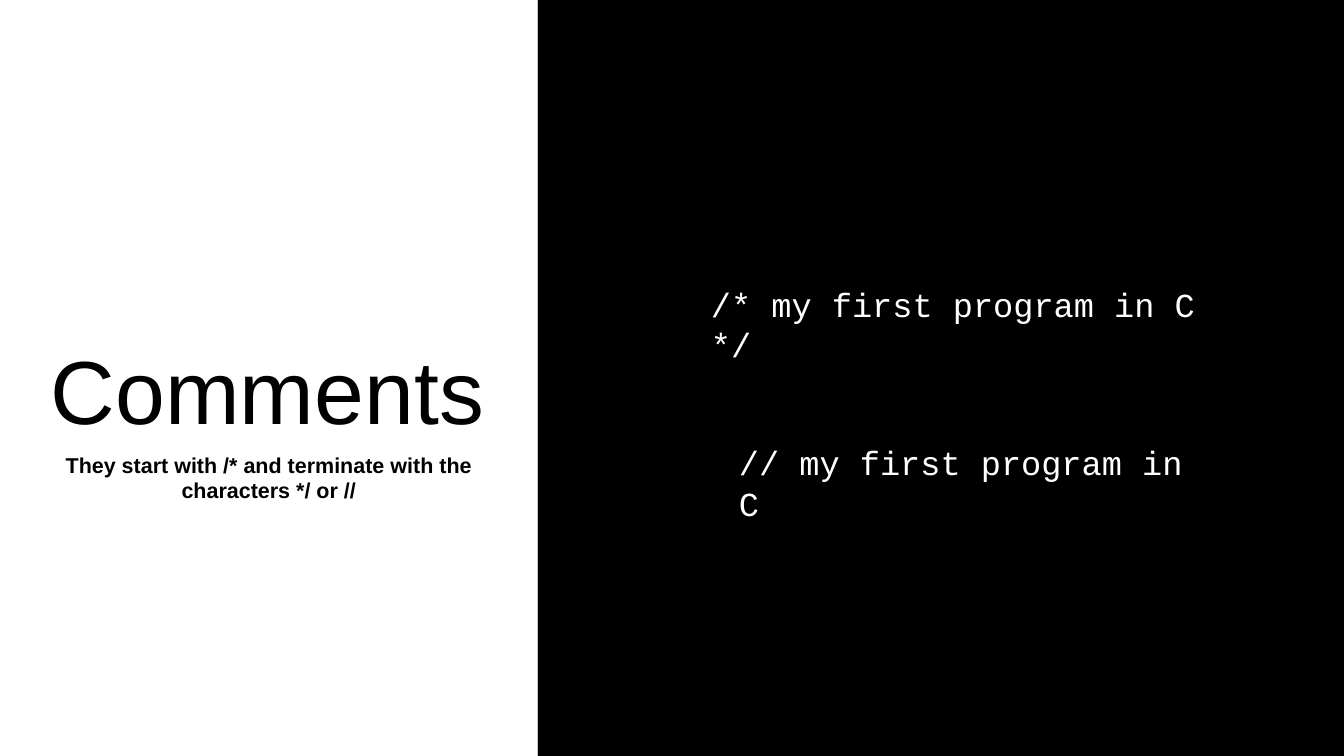
from dataclasses import dataclass

from pptx import Presentation
from pptx.dml.color import RGBColor
from pptx.enum.shapes import MSO_SHAPE
from pptx.enum.text import PP_ALIGN
from pptx.util import Inches, Pt


@dataclass(frozen=True)
class Theme:
    dark: RGBColor = RGBColor(0, 0, 0)
    light: RGBColor = RGBColor(255, 255, 255)
    heading_font: str = "Arial"
    code_font: str = "Courier New"
    title_size: float = 48
    summary_size: float = 11.5
    code_size: float = 18


THEME = Theme()
SLIDE_WIDTH = 10
SLIDE_HEIGHT = SLIDE_WIDTH * 9 / 16
LEFT_WIDTH = 4


def add_panel(slide, left, width, color):
    panel = slide.shapes.add_shape(
        MSO_SHAPE.RECTANGLE, Inches(left), 0, Inches(width), Inches(SLIDE_HEIGHT))
    panel.shadow.inherit = False
    panel.fill.solid()
    panel.fill.fore_color.rgb = color
    panel.line.fill.background()


def add_text(slide, box, wording, font, size, color, inset=0.1, bold=False):
    frame = slide.shapes.add_textbox(*map(Inches, box)).text_frame
    frame.word_wrap = True
    frame.margin_left = frame.margin_right = Inches(inset)
    frame.margin_top = frame.margin_bottom = Inches(inset)
    frame.text = wording
    paragraph = frame.paragraphs[0]
    for run in paragraph.runs:
        run.font.name = font
        run.font.size = Pt(size)
        run.font.color.rgb = color
        run.font.bold = bold
    return paragraph


def add_title(slide):
    title = add_text(slide, (0.28, 2.1, 3.82, 1.4), "Comments",
                     THEME.heading_font, THEME.title_size, THEME.dark)
    title.line_spacing = 1.37
    title.space_before = Pt(15)
    title.space_after = Pt(8)


def add_summary(slide):
    summary = add_text(
        slide, (0.21, 3.26, 3.58, 0.72),
        "They start with /* and terminate with the characters */ or //",
        THEME.heading_font, THEME.summary_size, THEME.dark, bold=True)
    summary.alignment = PP_ALIGN.CENTER


def add_code(slide, box, wording, inset):
    add_text(slide, box, wording, THEME.code_font, THEME.code_size,
             THEME.light, inset=inset)


def main():
    presentation = Presentation()
    presentation.slide_width = Inches(SLIDE_WIDTH)
    presentation.slide_height = Inches(SLIDE_HEIGHT)
    slide = presentation.slides.add_slide(presentation.slide_layouts[6])

    add_panel(slide, LEFT_WIDTH, SLIDE_WIDTH - LEFT_WIDTH, THEME.dark)
    add_panel(slide, 0, LEFT_WIDTH, THEME.light)
    add_title(slide)
    add_summary(slide)
    add_code(slide, (5.29, 2.11, 3.86, 0.38), "/* my first program in C */", 0)
    add_code(slide, (5.4, 3.19, 3.64, 0.53), "// my first program in C", 0.1)
    presentation.save("out.pptx")


if __name__ == "__main__":
    main()
